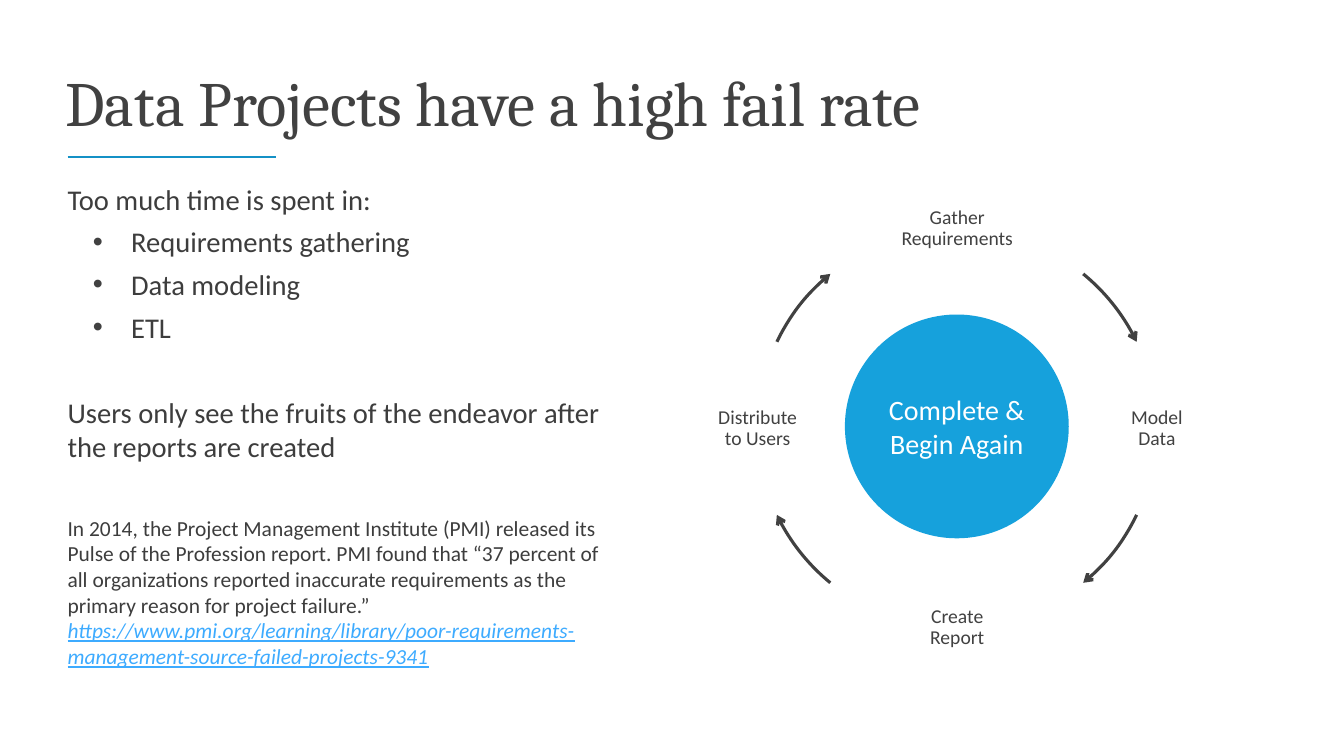
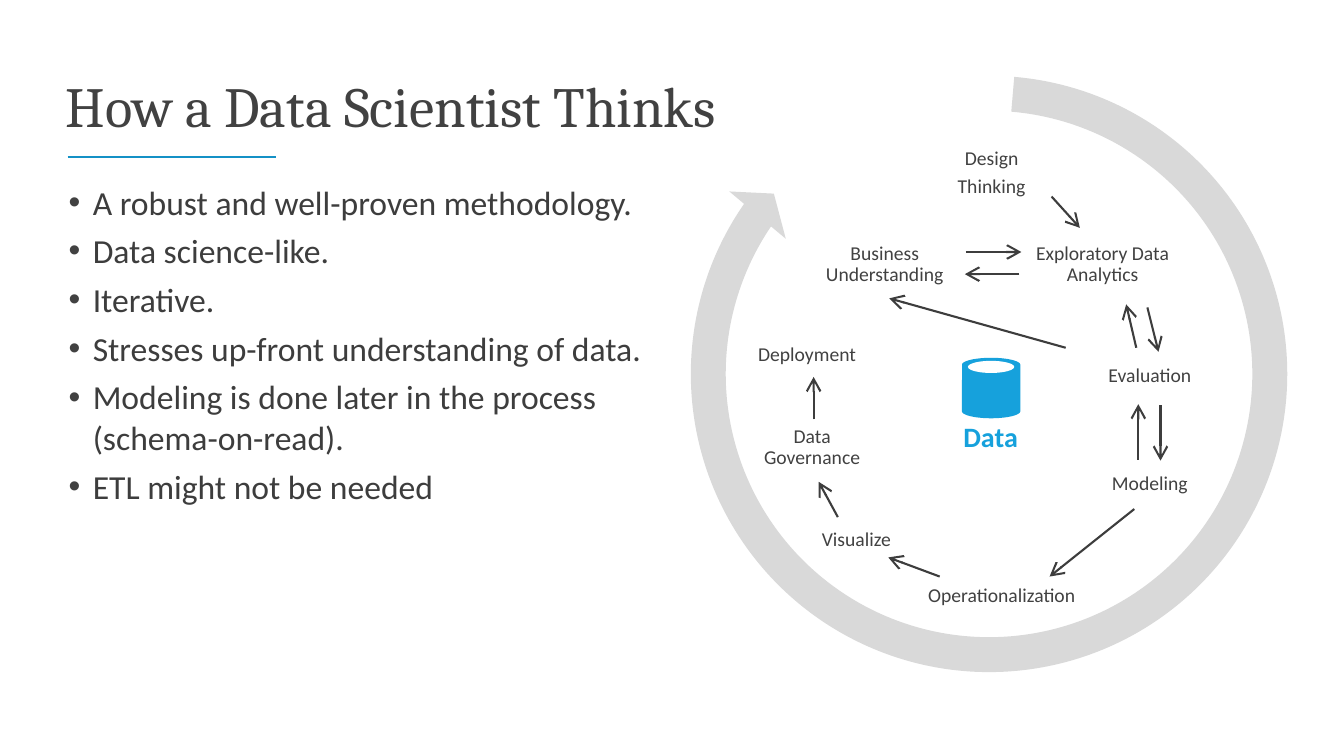
import math
from lxml import etree
from pptx import Presentation
from pptx import util as u
from pptx.dml.color import RGBColor
from pptx.enum import shapes, text
from pptx.oxml import ns

In, Pt = u.Inches, u.Pt
HUES = {
    "title": "414141", "body": "3D3D3D", "rule": "1491C6", "blue": "16A1DC",
    "link": "3DABFF", "ring": "D9D9D9", "white": "FFFFFF",
}


def hue(name):
    return RGBColor.from_string(HUES[name])


def sub(node, tag, **attrs):
    return etree.SubElement(node, ns.qn(tag), attrs)


class Deck:
    head, font = "Cambria", "Calibri"

    def __init__(self):
        self.prs = Presentation()
        self.prs.slide_width, self.prs.slide_height = In(13.33), In(7.5)
        self.slide = None

    def place(self, item, box):
        item.left, item.top, item.width, item.height = map(In, box)
        item.text_frame.word_wrap = True
        item.text_frame.auto_size = text.MSO_AUTO_SIZE.NONE
        return item.text_frame

    def ink(self, par, size, color, font=None, **flags):
        for run in par.runs:
            run.font.name, run.font.size = font or self.font, Pt(size)
            run.font.color.rgb = hue(color)
            for name, value in flags.items():
                setattr(run.font, name, value)

    def page(self, title, width, size):
        self.slide = self.prs.slides.add_slide(self.prs.slide_layouts[1])
        frame = self.place(self.slide.shapes.title, (0.55, 0.32, width, 1.11))
        frame.text = title
        frame.vertical_anchor = text.MSO_ANCHOR.BOTTOM
        par = frame.paragraphs[0]
        par.alignment, par.line_spacing = text.PP_ALIGN.LEFT, Pt(40)
        self.ink(par, size, "title", self.head)
        self.line((0.67, 1.56), (2.74, 1.56), "rule")

    def body(self, width, rows):
        frame = self.place(self.slide.placeholders[1], (0.57, 1.75, width, 4.91))
        frame.text = "\n".join(row[0] for row in rows)
        for par, (_, size, after, dent, flags) in zip(frame.paragraphs, rows):
            par.space_before, par.space_after = Pt(0), Pt(after)
            par.line_spacing = 1.0
            self.bullet(par, dent)
            self.ink(par, size, **{"color": "body", **flags})

    def bullet(self, par, dent):
        left, hang = dent or (0, 0)
        props = par._p.get_or_add_pPr()
        props.set("marL", str(In(left)))
        props.set("indent", str(-In(hang)))
        if dent:
            sub(sub(props, "a:buClr"), "a:srgbClr", val=HUES["title"])
            sub(props, "a:buFont", typeface="Arial")
            sub(props, "a:buChar", char="•")
        else:
            sub(props, "a:buNone")

    def label(self, words, box, size=14, color="title", inset=0.06, after=5, bold=False):
        frame = self.place(self.slide.shapes.add_textbox(0, 0, 0, 0), box)
        frame.margin_left = frame.margin_right = In(inset)
        frame.margin_top = frame.margin_bottom = In(0.06)
        frame.vertical_anchor = text.MSO_ANCHOR.MIDDLE
        frame.text = words
        for par in frame.paragraphs:
            par.alignment, par.line_spacing = text.PP_ALIGN.CENTER, 0.9
            par.space_after = Pt(after)
            self.ink(par, size, color, bold=bold)

    def fill(self, item, color):
        item.shadow.inherit = False
        item.fill.solid()
        item.fill.fore_color.rgb = hue(color)
        item.line.fill.background()
        return item

    def shape(self, kind, box, color):
        item = self.slide.shapes.add_shape(kind, *map(In, box))
        return self.fill(item, color)

    def stroke(self, item, color, weight, tip=None):
        item.line.color.rgb, item.line.width = hue(color), Pt(weight)
        if tip:
            line = item.element.spPr.find(ns.qn("a:ln"))
            sub(line, "a:tailEnd", type="arrow", w=tip, len=tip)

    def line(self, start, end, color="body", tip=None):
        item = self.slide.shapes.add_connector(
            shapes.MSO_CONNECTOR.STRAIGHT, *map(In, start + end))
        self.stroke(item, color, 1.5, tip)
        sub(item.element.spPr, "a:effectLst")

    def arc(self, box, start, sweep):
        item = self.slide.shapes.add_shape(shapes.MSO_SHAPE.ARC, *map(In, box))
        item.shadow.inherit = False
        item.fill.background()
        for i, angle in enumerate((start, start + sweep)):
            item.adjustments[i] = angle * 0.6
        self.stroke(item, "title", 2.25, "med")

    def drum(self, mid, top, low, wide, tall):
        dots = []
        for deg in range(0, 361, 6):
            turn = math.radians(deg)
            base = low if deg <= 180 else top
            dots.append((In(mid + wide * math.cos(turn)), In(base + tall * math.sin(turn))))
        pen = self.slide.shapes.build_freeform(*dots[0])
        pen.add_line_segments(dots[1:], close=True)
        self.fill(pen.convert_to_shape(), "blue")
        self.shape(shapes.MSO_SHAPE.OVAL, (mid - 0.23, top - 0.04, 0.46, 0.12), "white")


def fails(deck):
    deck.page("Data Projects have a high fail rate", 11.9, 45)
    dent = (0.63, 0.38)
    quote = (
        "In 2014, the Project Management Institute (PMI) released its",
        "Pulse of the Profession report. PMI found that “37 percent of",
        "all organizations reported inaccurate requirements as the",
        "primary reason for project failure.”",
    )
    link = "https://www.pmi.org/learning/library/poor-requirements-management-source-failed-projects-9341"
    deck.body(5.62, [
        ("Too much time is spent in:", 20.4, 6, None, {}),
        ("Requirements gathering", 20.4, 6, dent, {}),
        ("Data modeling", 20.4, 6, dent, {}),
        ("ETL", 20.4, 36.5, dent, {}),
        ("Users only see the fruits of the endeavor after the reports are created",
         20.4, 36.5, None, {}),
        *((row, 15.3, 0, None, {}) for row in quote),
        (link, 15.3, 6, None, {"color": "link", "italic": True, "underline": True}),
    ])
    x, y, reach = 9.49, 4.25, 1.98
    steps = ("Gather\vRequirements", "Model\vData", "Create\vReport", "Distribute\vto Users")
    starts = (309.3, 25.7, 129.3, 205.7)
    for i, (step, start) in enumerate(zip(steps, starts)):
        turn = math.radians(90 * i - 90)
        left = x + reach * math.cos(turn) - 0.96
        top = y + reach * math.sin(turn) - 0.54
        deck.label(step, (left, top, 1.93, 1.08))
        deck.arc((x - reach, y - reach, 2 * reach, 2 * reach), start, 25)
    hub = deck.shape(shapes.MSO_SHAPE.OVAL, (8.38, 3.12, 2.22, 2.22), "blue")
    frame = hub.text_frame
    frame.text, frame.word_wrap = "Complete & Begin Again", True
    frame.vertical_anchor = text.MSO_ANCHOR.MIDDLE
    frame.paragraphs[0].alignment = text.PP_ALIGN.CENTER
    deck.ink(frame.paragraphs[0], 20, "white")


def thinks(deck):
    deck.page("How a Data Scientist Thinks", 7.28, 40.5)
    points = (
        "A robust and well-proven methodology.",
        "Data science-like.",
        "Iterative.",
        "Stresses up-front understanding of data.",
        "Modeling is done later in the process (schema-on-read).",
        "ETL might not be needed",
    )
    deck.body(6.15, [(row, 24, 6, (0.25, 0.24), {}) for row in points])
    deck.drum(9.83, 3.62, 4.08, 0.29, 0.07)
    deck.label("Data", (9.05, 4.15, 1.55, 0.4), 20, "blue", 0.1, 0, True)
    ring = deck.shape(shapes.MSO_SHAPE.CIRCULAR_ARROW, (6.66, 0.56, 6.3, 6.3), "ring")
    ring.rotation = 345
    for i, value in enumerate((0.055, 3.307, 137.676, 173.91, 0.058)):
        ring.adjustments[i] = value
    stages = (
        ("Business\vUnderstanding", 8.03, 2.21, 1.49),
        ("Design\nThinking", 9.17, 1.3, 1.33),
        ("Exploratory Data Analytics", 10.19, 2.21, 1.49),
        ("Evaluation", 10.66, 3.32, 1.49),
        ("Modeling", 10.74, 4.39, 1.33),
        ("Operationalization", 9.07, 5.5, 1.73),
        ("Visualize", 7.83, 4.94, 1.33),
        ("Data\vGovernance", 7.39, 4.03, 1.33),
        ("Deployment", 7.26, 3.11, 1.49),
    )
    for words, left, top, width in stages:
        deck.label(words, (left, top, width, 0.83))
    flows = (
        ((9.58, 2.5), (10.13, 2.5)),
        ((10.11, 2.72), (9.57, 2.72)),
        ((10.43, 1.95), (10.71, 2.26)),
        ((11.38, 3.05), (11.49, 3.49)),
        ((11.27, 3.45), (11.17, 3.02)),
        ((11.51, 4.02), (11.51, 4.57)),
        ((11.29, 4.56), (11.29, 4.01)),
        ((11.25, 5.05), (10.41, 5.72)),
        ((10.57, 3.45), (8.82, 2.96)),
        ((9.32, 5.72), (8.81, 5.53)),
        ((8.31, 5.13), (8.12, 4.78)),
        ((8.07, 4.16), (8.07, 3.74)),
    )
    for start, end in flows:
        deck.line(start, end, tip="lg")


def main():
    deck = Deck()
    fails(deck)
    thinks(deck)
    deck.prs.save("out.pptx")


if __name__ == "__main__":
    main()
